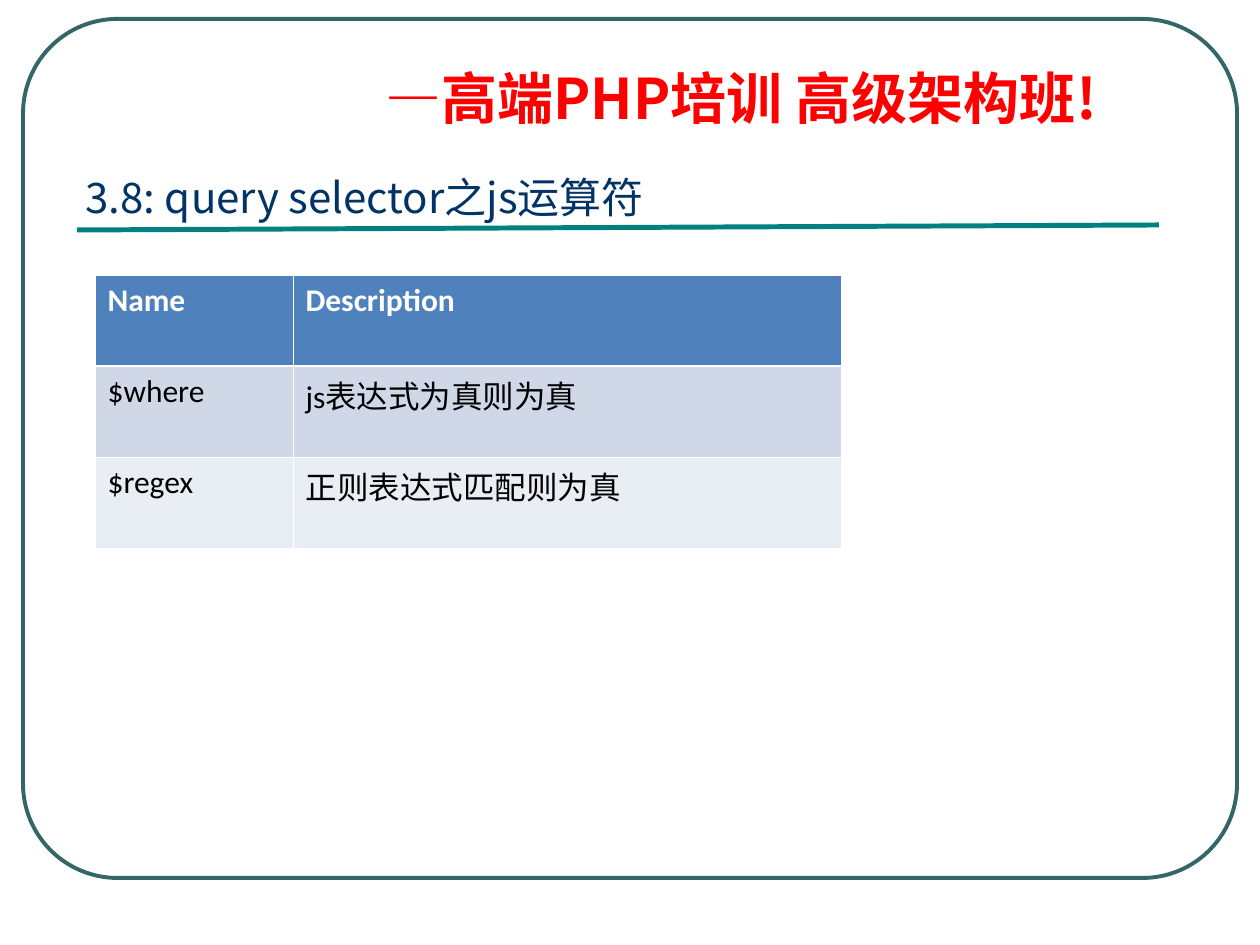
import pptx
import pptx.util
import pptx.dml.color
import pptx.enum.shapes
import pptx.enum.text
import pptx.oxml
import pptx.oxml.ns

PX = 914400 / 126
SANS, BODY = "Noto Sans CJK SC", "Calibri"
COLORS = {
    "frame": "336666", "rule": "008080", "banner": "FF0000", "title": "003366",
    "header": "4F81BD", "odd": "D0D8E8", "even": "E9EDF4",
    "white": "FFFFFF", "black": "000000",
}
ROWS = [
    ("Name", "Description"),
    ("$where", "js表达式为真则为真"),
    ("$regex", "正则表达式匹配则为真"),
]


def px(n):
    return pptx.util.Emu(round(n * PX))


def rgb(name):
    return pptx.dml.color.RGBColor.from_string(COLORS[name])


def write(tf, text, size, color, font=SANS, bold=False, before=0, spacing=1.0):
    p = tf.paragraphs[0]
    p.alignment = pptx.enum.text.PP_ALIGN.LEFT
    p.space_before = pptx.util.Pt(before)
    p.line_spacing = spacing
    r = p.add_run()
    r.text = text
    r.font.size = pptx.util.Pt(size)
    r.font.bold = bold
    r.font.name = font
    r.font.color.rgb = rgb(color)
    ea = pptx.oxml.parse_xml(
        f'<a:ea {pptx.oxml.ns.nsdecls("a")} typeface="{SANS}"/>')
    r.font._element.find(pptx.oxml.ns.qn("a:latin")).addnext(ea)


def add_frame(s, x, y, w, h):
    # Rounded page border
    sp = s.shapes.add_shape(pptx.enum.shapes.MSO_SHAPE.ROUNDED_RECTANGLE,
                            px(x), px(y), px(w), px(h))
    sp.adjustments[0] = 0.11
    sp.shadow.inherit = False
    sp.fill.background()
    sp.line.color.rgb = rgb("frame")
    sp.line.width = pptx.util.Pt(2.25)


def add_banner(s, x, y, w, h):
    tf = s.shapes.add_textbox(px(x), px(y), px(w), px(h)).text_frame
    tf.word_wrap = True
    write(tf, "—高端PHP培训 高级架构班!", 32, "banner", bold=True,
          before=8.2, spacing=0.9)


def add_title(s, x, y, w, h):
    sp = s.shapes.title
    sp.left, sp.top, sp.width, sp.height = px(x), px(y), px(w), px(h)
    tf = sp.text_frame
    tf.word_wrap = False
    tf.auto_size = pptx.enum.text.MSO_AUTO_SIZE.NONE
    tf.vertical_anchor = pptx.enum.text.MSO_ANCHOR.TOP
    write(tf, "3.8: query selector之js运算符", 24, "title")

    # Slightly rising rule under the title
    line = s.shapes.add_connector(
        pptx.enum.shapes.MSO_CONNECTOR.STRAIGHT,
        px(x + 4), px(y + 65), px(x + 1086), px(y + 60))
    line.line.color.rgb = rgb("rule")
    line.line.width = pptx.util.Pt(2.83)
    line._element.spPr.append(pptx.oxml.parse_xml(
        f'<a:effectLst {pptx.oxml.ns.nsdecls("a")}/>'))


def set_borders(cell, **widths):
    tc_pr = cell._tc.get_or_add_tcPr()
    for i, (side, width) in enumerate(widths.items()):
        tc_pr.insert(i, pptx.oxml.parse_xml(
            f'<a:ln{side} {pptx.oxml.ns.nsdecls("a")} w="{pptx.util.Pt(width)}">'
            f'<a:solidFill><a:srgbClr val="{COLORS["white"]}"/></a:solidFill>'
            f'</a:ln{side}>'))


def add_operator_table(s, x, y, col_widths, row_height):
    table = s.shapes.add_table(
        len(ROWS), len(col_widths), px(x), px(y),
        px(sum(col_widths)), px(row_height * len(ROWS))).table
    for col, width in zip(table.columns, col_widths):
        col.width = px(width)
    thin, thick = 0.45, 1.47
    for i, (row, fill) in enumerate(zip(ROWS, ("header", "odd", "even"))):
        table.rows[i].height = px(row_height)
        head = i == 0
        for j, text in enumerate(row):
            cell = table.cell(i, j)
            cell.fill.solid()
            cell.fill.fore_color.rgb = rgb(fill)
            set_borders(cell, L=thin, R=thin, T=thick if i == 1 else thin,
                        B=thick if head else thin)
            write(cell.text_frame, text, 18, "white" if head else "black",
                  font=BODY, bold=head, before=4.5)


def main():
    prs = pptx.Presentation()
    prs.slide_width, prs.slide_height = px(1260), px(945)
    s = prs.slides.add_slide(prs.slide_layouts[5])
    add_frame(s, 23, 19, 1214, 859)
    add_banner(s, 373, 65, 868, 73)
    add_title(s, 73, 165, 614, 63)
    add_operator_table(s, 95, 275, (198, 548), 91)
    prs.save("out.pptx")


if __name__ == "__main__":
    main()
